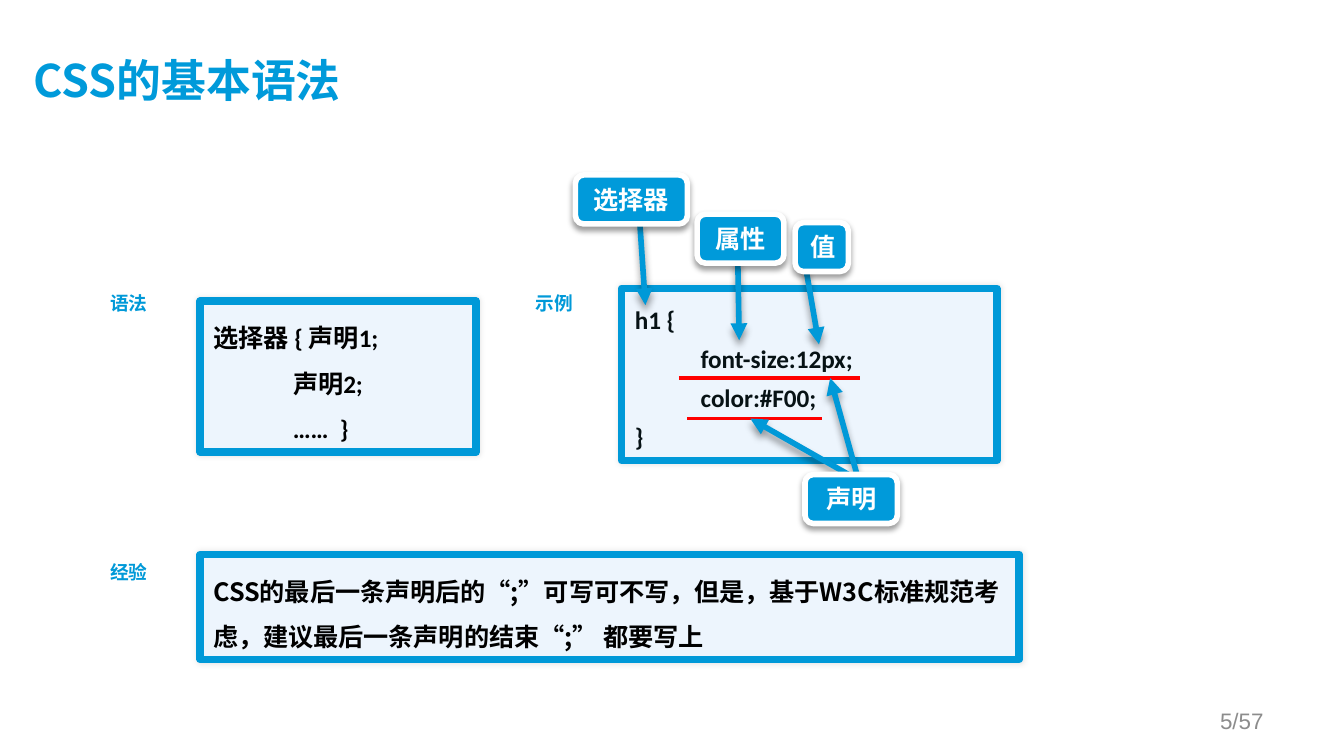
from dataclasses import dataclass

from lxml import etree
from pptx import Presentation
from pptx import util as u
from pptx.dml.color import RGBColor
from pptx.enum import shapes, text
from pptx.oxml import ns

PX = 9525


@dataclass(frozen=True)
class Theme:
    """Colours, fonts and type sizes of the slide."""
    accent: str = "0099D8"
    bright: str = "009ADA"
    panel: str = "EDF5FD"
    white: str = "FFFFFF"
    black: str = "000000"
    code: str = "071215"
    red: str = "FF0000"
    grey: str = "8C8C8C"
    latin: str = "Calibri"
    plain: str = "Arial"
    asian: str = "Noto Sans CJK SC"
    title_size: float = 24
    body_size: float = 13.5
    label_size: float = 10
    page_size: float = 12


class Painter:
    """Draws each kind of element on the current slide."""

    def __init__(self, slide, theme):
        """Keep the slide and its theme."""
        self.slide = slide
        self.theme = theme

    def px(self, *lengths):
        """Turn px into EMU."""
        return [u.Emu(length * PX) for length in lengths]

    def child(self, parent, tag, **attributes):
        """Append an XML element with its attributes."""
        node = etree.SubElement(parent, ns.qn(tag))
        for name, value in attributes.items():
            node.set(name, str(value))
        return node

    def set_text(self, shape, lines, size, color, font, bold=True,
                 align=text.PP_ALIGN.LEFT, spacing=None, tab=None):
        """Fill a shape with formatted paragraphs."""
        frame = shape.text_frame
        frame.text = "\n".join(lines)
        for para in frame.paragraphs:
            para.alignment = align
            if spacing:
                para.line_spacing = spacing
            if tab:
                stops = self.child(para._p.get_or_add_pPr(), "a:tabLst")
                self.child(stops, "a:tab", pos=tab * PX, algn="l")
            for span in para.runs:
                span.font.name = font
                span.font.size = u.Pt(size)
                span.font.bold = bold
                span.font.color.rgb = RGBColor.from_string(color)
                self.child(span._r.get_or_add_rPr(), "a:ea", typeface=self.theme.asian)

    def shadow(self, effects, alpha, blur, distance, angle):
        """Add an outer shadow to an effect list."""
        outer = self.child(effects, "a:outerShdw", blurRad=u.Pt(blur), dist=u.Pt(distance),
                           dir=angle * 60000, algn="ctr", rotWithShape=0)
        tint = self.child(outer, "a:srgbClr", val=self.theme.black)
        self.child(tint, "a:alpha", val=alpha * 1000)

    def title(self, place, wording):
        """Place and format the title."""
        box = self.slide.shapes.title
        box.left, box.top, box.width, box.height = self.px(*place)
        frame = box.text_frame
        frame.margin_left = frame.margin_top = 0
        frame.vertical_anchor = text.MSO_ANCHOR.MIDDLE
        self.set_text(box, [wording], self.theme.title_size, self.theme.bright,
                      self.theme.asian)

    def block(self, place, fill, line, weight, corner, shadow):
        """Draw a filled, outlined and shadowed rectangle."""
        box = self.slide.shapes.add_shape(shapes.MSO_SHAPE.ROUNDED_RECTANGLE, *self.px(*place))
        box.adjustments[0] = corner
        box.fill.solid()
        box.fill.fore_color.rgb = RGBColor.from_string(fill)
        box.line.color.rgb = RGBColor.from_string(line)
        box.line.width = u.Pt(weight)
        box.shadow.inherit = False
        self.shadow(box._element.spPr.find(ns.qn("a:effectLst")), *shadow)
        frame = box.text_frame
        frame.word_wrap = True
        frame.vertical_anchor = text.MSO_ANCHOR.TOP
        frame.auto_size = text.MSO_AUTO_SIZE.SHAPE_TO_FIT_TEXT
        return box

    def panel(self, place, lines, color, font, spacing, tab=None):
        """Draw a framed text panel."""
        box = self.block(place, self.theme.panel, self.theme.accent, 4, 0, (10, 3, 0, 0))
        self.set_text(box, lines, self.theme.body_size, color, font, spacing=spacing, tab=tab)

    def callout(self, place, wording):
        """Draw a blue name tag."""
        box = self.block(place, self.theme.bright, self.theme.white, 3, 0.17, (38, 3, 2, 90))
        self.set_text(box, [wording], self.theme.body_size, self.theme.white,
                      self.theme.latin, align=text.PP_ALIGN.CENTER)

    def line(self, ends, color, weight):
        """Draw a straight line and return it with its effect list."""
        line = self.slide.shapes.add_connector(shapes.MSO_CONNECTOR.STRAIGHT, *self.px(*ends))
        line.line.color.rgb = RGBColor.from_string(color)
        line.line.width = u.Pt(weight)
        return line, self.child(line._element.spPr, "a:effectLst")

    def underline(self, ends):
        """Underline a declaration."""
        self.line(ends, self.theme.red, 2)

    def arrow(self, ends):
        """Draw a shadowed arrow."""
        line, effects = self.line(ends, self.theme.accent, 3)
        self.child(line._element.spPr.find(ns.qn("a:ln")), "a:tailEnd", type="triangle")
        self.shadow(effects, 40, 4, 3, 90)

    def label(self, place, wording):
        """Add a small section label."""
        box = self.slide.shapes.add_textbox(*self.px(*place))
        box.text_frame.word_wrap = False
        box.text_frame.auto_size = text.MSO_AUTO_SIZE.SHAPE_TO_FIT_TEXT
        self.set_text(box, [wording], self.theme.label_size, self.theme.accent,
                      self.theme.plain, align=text.PP_ALIGN.CENTER)

    def page_number(self, place, wording):
        """Add the page number."""
        box = self.slide.shapes.add_textbox(*self.px(*place))
        box.text_frame.word_wrap = True
        box.text_frame.vertical_anchor = text.MSO_ANCHOR.MIDDLE
        self.set_text(box, [wording], self.theme.page_size, self.theme.grey,
                      self.theme.plain, bold=False, align=text.PP_ALIGN.RIGHT)


def main():
    """Build the slide and save it."""
    deck = Presentation()
    deck.slide_width, deck.slide_height = u.Emu(960 * PX), u.Emu(540 * PX)
    theme = Theme()
    painter = Painter(deck.slides.add_slide(deck.slide_layouts[5]), theme)

    painter.title((24, 22, 865, 74), "CSS的基本语法")
    indent = " " * 14
    painter.panel((143, 215, 197, 108),
                  ["选择器 { 声明1;", indent + "声明2;", indent + "……  }"],
                  theme.black, theme.latin, 1.5)
    painter.panel((444, 206, 268, 123),
                  ["h1 {", "\tfont-size:12px;", "\tcolor:#F00;", "}"],
                  theme.code, theme.latin, 1.3, tab=47)
    painter.panel((143, 396, 585, 75),
                  ["CSS的最后一条声明后的“;”可写可不写，但是，基于W3C标准规范考虑，"
                   "建议最后一条声明的结束“;” 都要写上"],
                  theme.black, theme.asian, 1.5)

    for ends in ((485, 270, 614, 270), (491, 299, 587, 299)):
        painter.underline(ends)
    for ends in ((457, 159, 461, 218), (527, 185, 528, 243), (575, 188, 585, 246),
                 (613, 342, 593, 270), (622, 348, 536, 299)):
        painter.arrow(ends)
    for left, top, width, wording in ((411, 125, 80, "选择器"), (498, 153, 62, "属性"),
                                      (568, 159, 38, "值"), (575, 339, 66, "声明")):
        painter.callout((left, top, width, 35), wording)
    for left, top, wording in ((69, 204, "语法"), (373, 204, "示例"), (69, 396, "经验")):
        painter.label((left, top, 46, 26), wording)
    painter.page_number((688, 500, 224, 29), "5/57")

    deck.save("out.pptx")


if __name__ == "__main__":
    main()
